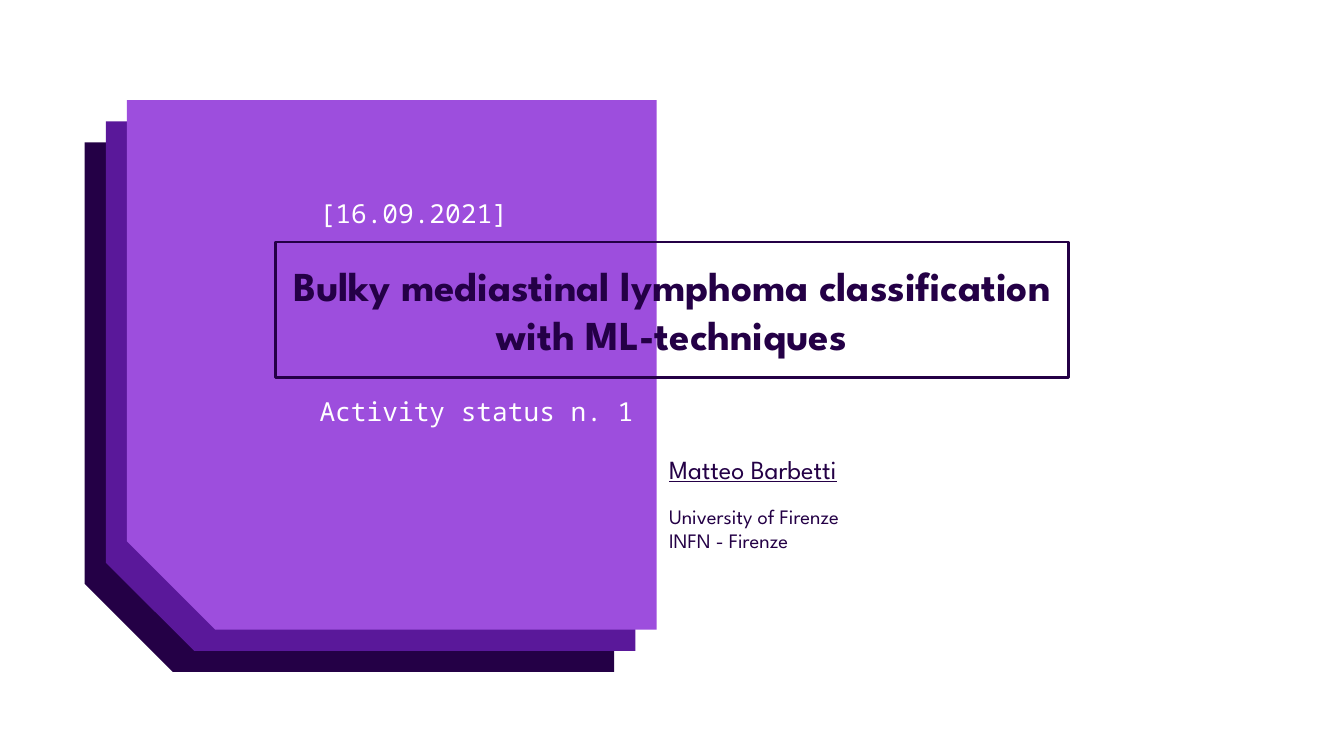
import pptx
import pptx.dml.color
import pptx.enum.shapes
import pptx.enum.text
import pptx.util
from dataclasses import dataclass

Inches = pptx.util.Inches
Pt = pptx.util.Pt
ALIGN = pptx.enum.text.PP_ALIGN
ANCHOR = pptx.enum.text.MSO_ANCHOR
SHAPE = pptx.enum.shapes.MSO_SHAPE


@dataclass(frozen=True)
class Theme:
    dark: str = "240046"
    mid: str = "5A189A"
    light: str = "9D4EDD"
    white: str = "FFFFFF"
    sans: str = "League Spartan"
    mono: str = "Noto Sans Mono"
    title: int = 22
    body: int = 14
    small: int = 11


THEME = Theme()


def rgb(color):
    return pptx.dml.color.RGBColor.from_string(color)


def set_attrs(obj, values):
    for name, value in values.items():
        setattr(obj, name, value)


def add_snipped_square(s, left, top, side, color):
    sp = s.shapes.add_shape(SHAPE.SNIP_1_RECTANGLE, Inches(left), Inches(top),
                            Inches(side), Inches(side))
    sp.adjustments[0] = 1 / 6
    sp.rotation = 180
    sp.shadow.inherit = False
    sp.fill.solid()
    sp.fill.fore_color.rgb = rgb(color)
    sp.line.fill.background()


def add_frame(s, box, color, width):
    sp = s.shapes.add_shape(SHAPE.RECTANGLE, *map(Inches, box))
    sp.shadow.inherit = False
    sp.fill.background()
    sp.line.color.rgb = rgb(color)
    sp.line.width = Pt(width)
    return sp


def write(sp, lines, color, align=ALIGN.LEFT, anchor=ANCHOR.TOP, inset_y=0.1):
    """Fill a shape with lines of (text, font values, space before)."""
    tf = sp.text_frame
    set_attrs(tf, {
        "word_wrap": True, "vertical_anchor": anchor,
        "margin_left": Inches(0.1), "margin_right": Inches(0.1),
        "margin_top": Inches(inset_y), "margin_bottom": Inches(inset_y),
    })
    for i, (text, font, before) in enumerate(lines):
        p = tf.add_paragraph() if i else tf.paragraphs[0]
        set_attrs(p, {"alignment": align, "space_before": Pt(before)})
        r = p.add_run()
        r.text = text
        set_attrs(r.font, font)
        r.font.color.rgb = rgb(color)


def add_text(s, box, lines, color, **layout):
    sp = s.shapes.add_textbox(*map(Inches, box))
    write(sp, lines, color, **layout)
    return sp


def main():
    # Widescreen slide, 16:9
    prs = pptx.Presentation()
    width = Inches(10)
    set_attrs(prs, {"slide_width": width, "slide_height": width * 9 // 16})
    s = prs.slides.add_slide(prs.slide_layouts[6])

    # Stacked squares, each one step up and to the right
    side = 3.94
    step = side / 25
    for i, color in enumerate((THEME.dark, THEME.mid, THEME.light)):
        add_snipped_square(s, 0.63 + i * step, 1.06 - i * step, side, color)

    # Framed title
    title = {"name": THEME.sans, "size": Pt(THEME.title), "bold": True}
    frame = add_frame(s, (2.05, 1.8, 5.9, 1.01), THEME.dark, 1.5)
    write(frame,
          [("Bulky mediastinal lymphoma classification with ML-techniques", title, 0)],
          THEME.dark, align=ALIGN.CENTER, anchor=ANCHOR.MIDDLE, inset_y=0.05)

    # Date and status around the title
    mono = {"name": THEME.mono, "size": Pt(THEME.body)}
    for text, top, box_width in (("[16.09.2021]", 1.37, 2.11),
                                 ("Activity status n. 1", 2.84, 2.6)):
        sp = add_text(s, (2.28, top, box_width, 0.44), [(text, mono, 0)], THEME.white)
        sp.text_frame.auto_size = pptx.enum.text.MSO_AUTO_SIZE.SHAPE_TO_FIT_TEXT

    # Author and affiliation
    author = {"name": THEME.sans, "size": Pt(THEME.body), "underline": True}
    place = {"name": THEME.sans, "size": Pt(THEME.small)}
    add_text(s, (4.88, 2.81, 3.07, 1.87),
             [("Matteo Barbetti", author, 0),
              ("University of Firenze", place, 10),
              ("INFN - Firenze", place, 0)],
             THEME.dark, anchor=ANCHOR.MIDDLE)

    prs.save("out.pptx")


if __name__ == "__main__":
    main()
